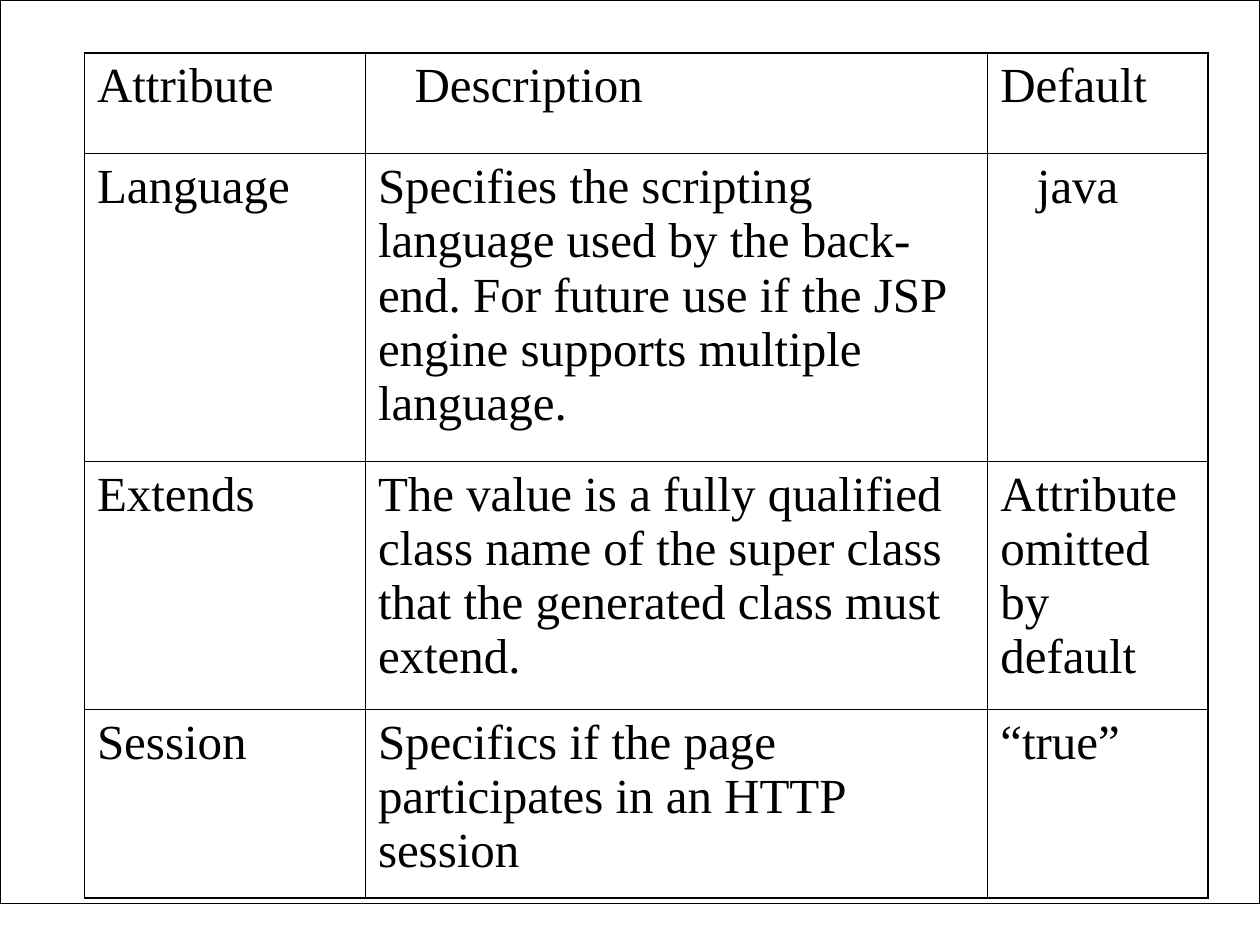
from lxml import etree
from pptx import Presentation
from pptx.dml.color import RGBColor
from pptx.enum.shapes import MSO_SHAPE
from pptx.enum.text import PP_ALIGN
from pptx.oxml.ns import qn
from pptx.util import Inches, Pt

RECTANGLE = MSO_SHAPE.RECTANGLE
LEFT = PP_ALIGN.LEFT

WIDTH, HEIGHT = 10, 7.5
BLACK, WHITE = "000000", "FFFFFF"
FONT = "Times New Roman"
OUTER_LINE, INNER_LINE = 1.08, 0.45
INDENT = 0.29

TABLE_LEFT, TABLE_TOP = 0.67, 0.42
COLUMN_WIDTHS = [2.23, 4.94, 1.75]
ROW_HEIGHTS = [0.8, 2.44, 1.97, 1.5]
ROWS = [
    ["Attribute", "Description", "Default"],
    ["Language",
     "Specifies the scripting language used by the back-end. "
     "For future use if the JSP engine supports multiple language.",
     "java"],
    ["Extends",
     "The value is a fully qualified class name of the super class "
     "that the generated class must extend.",
     "Attribute omitted by default"],
    ["Session", "Specifics if the page participates in an HTTP session", "“true”"],
]
INDENTED = {"Description", "java"}


def color(value):
    """Return the colour for a hex string."""
    return RGBColor.from_string(value)


def write_text(text_frame, text, size=28, font=FONT, fill=BLACK, before=7, indent=0):
    """Write one formatted paragraph into a text frame."""
    paragraph = text_frame.paragraphs[0]
    paragraph.alignment = LEFT
    paragraph.space_before = Pt(before)
    if indent:
        properties = paragraph._p.get_or_add_pPr()
        properties.set("marL", str(Inches(indent)))
        properties.set("indent", "0")
    run = paragraph.add_run()
    run.text = text
    run.font.size = Pt(size)
    run.font.name = font
    run.font.color.rgb = color(fill)


def set_borders(cell, widths):
    """Draw cell borders from a mapping of side letter to width in points."""
    properties = cell._tc.get_or_add_tcPr()
    for position, (side, width) in enumerate(widths.items()):
        line = etree.Element(qn(f"a:ln{side}"), w=str(Pt(width)))
        solid = etree.SubElement(line, qn("a:solidFill"))
        etree.SubElement(solid, qn("a:srgbClr"), val=BLACK)
        properties.insert(position, line)


def add_frame(slide):
    """Add the outlined white panel behind the table."""
    frame = slide.shapes.add_shape(
        RECTANGLE, 0, 0, Inches(WIDTH), Inches(HEIGHT * 0.956))
    frame.shadow.inherit = False
    frame.fill.solid()
    frame.fill.fore_color.rgb = color(WHITE)
    frame.line.color.rgb = color(BLACK)
    frame.line.width = Pt(0.75)


def add_attribute_table(slide):
    """Add the attribute table with heavier outer borders."""
    table = slide.shapes.add_table(
        len(ROWS), len(COLUMN_WIDTHS), Inches(TABLE_LEFT), Inches(TABLE_TOP),
        Inches(sum(COLUMN_WIDTHS)), Inches(sum(ROW_HEIGHTS))).table
    table.first_row = table.horz_banding = False
    for column, width in zip(table.columns, COLUMN_WIDTHS):
        column.width = Inches(width)
    for row, height in zip(table.rows, ROW_HEIGHTS):
        row.height = Inches(height)

    last_row, last_column = len(ROWS) - 1, len(COLUMN_WIDTHS) - 1
    for row_index, texts in enumerate(ROWS):
        for column_index, text in enumerate(texts):
            cell = table.cell(row_index, column_index)
            cell.fill.background()
            write_text(cell.text_frame, text, indent=INDENT if text in INDENTED else 0)
            outer_sides = {
                "L": column_index == 0,
                "R": column_index == last_column,
                "T": row_index == 0,
                "B": row_index == last_row,
            }
            set_borders(cell, {side: OUTER_LINE if outer else INNER_LINE
                               for side, outer in outer_sides.items()})


def main():
    """Build the slide and save the presentation."""
    presentation = Presentation()
    presentation.slide_width = Inches(WIDTH)
    presentation.slide_height = Inches(HEIGHT)
    slide = presentation.slides.add_slide(presentation.slide_layouts[6])
    add_frame(slide)
    add_attribute_table(slide)
    presentation.save("out.pptx")


if __name__ == "__main__":
    main()
